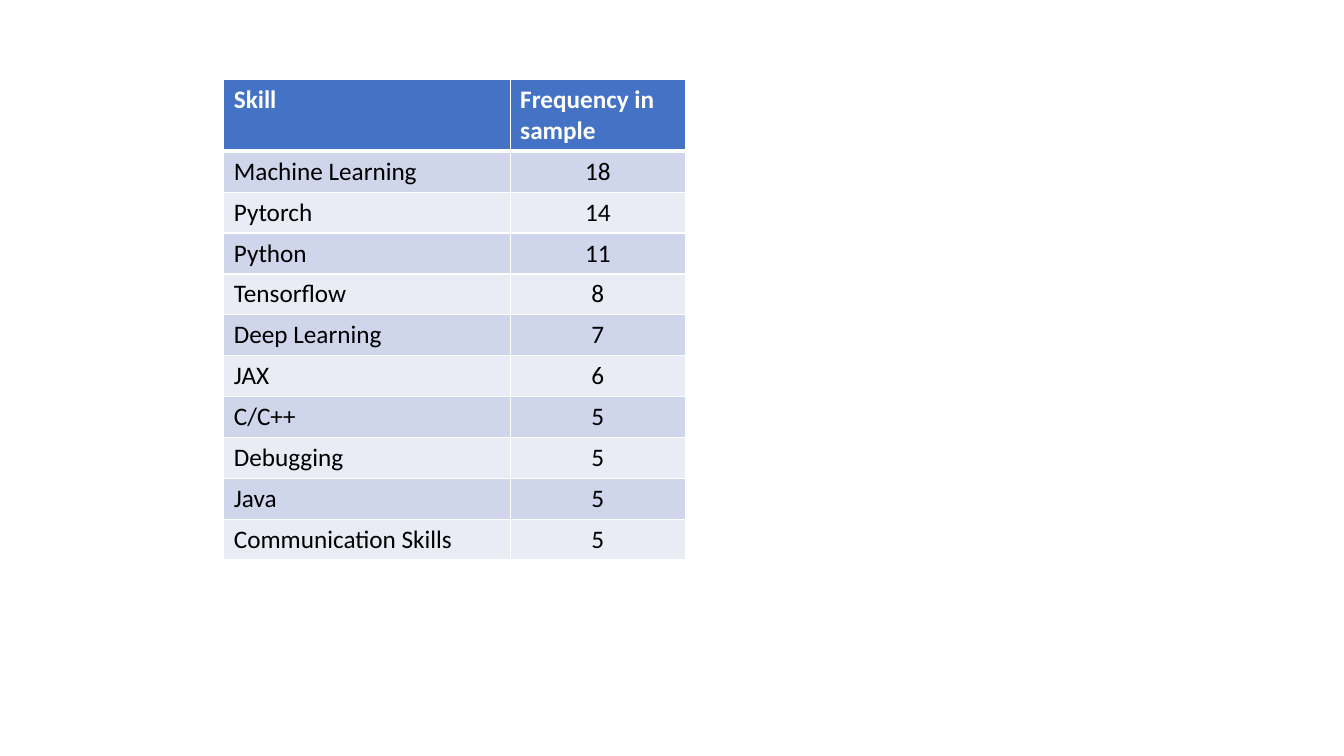
from lxml import etree
from pptx import Presentation
from pptx import util as u
from pptx.dml.color import RGBColor
from pptx.enum import text
from pptx.oxml import ns

# Content
HEAD = ("Skill", "Frequency in sample")
SKILLS = [
    ("Machine Learning", 18),
    ("Pytorch", 14),
    ("Python", 11),
    ("Tensorflow", 8),
    ("Deep Learning", 7),
    ("JAX", 6),
    ("C/C++", 5),
    ("Debugging", 5),
    ("Java", 5),
    ("Communication Skills", 5),
]

# Layout in px, 100 to the inch
PX = u.Inches(1) // 100
LEFT, TOP = 222, 79
COLS = (284, 174)
HEAD_H, ROW_H = 70, 40

# Format
WHITE = RGBColor(0xFF, 0xFF, 0xFF)
BLACK = RGBColor(0, 0, 0)
BLUE = RGBColor(0x44, 0x72, 0xC4)
BANDS = (RGBColor(0xCF, 0xD5, 0xEA), RGBColor(0xE9, 0xEB, 0xF5))
FONT = {"name": "Calibri", "size": u.Pt(18)}
THIN, THICK = u.Pt(1), u.Pt(3)


def border(cell, top, bottom):
    """Give the cell white lines on all four sides."""
    props = cell._tc.get_or_add_tcPr()
    sides = {"L": THIN, "R": THIN, "T": top, "B": bottom}
    for i, (side, width) in enumerate(sides.items()):
        line = etree.Element(ns.qn(f"a:ln{side}"), w=str(width))
        fill = etree.SubElement(line, ns.qn("a:solidFill"))
        etree.SubElement(fill, ns.qn("a:srgbClr"), val=str(WHITE))
        props.insert(i, line)


def main():
    prs = Presentation()
    prs.slide_width, prs.slide_height = 1333 * PX, 750 * PX
    slide = prs.slides.add_slide(prs.slide_layouts[6])

    # Table grid
    rows = [HEAD, *SKILLS]
    high = HEAD_H + ROW_H * len(SKILLS)
    table = slide.shapes.add_table(
        len(rows), len(COLS),
        LEFT * PX, TOP * PX, sum(COLS) * PX, high * PX).table
    for col, width in zip(table.columns, COLS):
        col.width = width * PX

    # Cells
    for r, row in enumerate(rows):
        head = r == 0
        table.rows[r].height = (HEAD_H if head else ROW_H) * PX
        for c, value in enumerate(row):
            cell = table.cell(r, c)
            cell.text = str(value)
            cell.fill.solid()
            cell.fill.fore_color.rgb = BLUE if head else BANDS[(r - 1) % 2]
            border(cell, THICK if r == 1 else THIN, THICK if head else THIN)
            para = cell.text_frame.paragraphs[0]
            if c and not head:
                para.alignment = text.PP_ALIGN.CENTER
            font = para.runs[0].font
            for key, val in {**FONT, "bold": head}.items():
                setattr(font, key, val)
            font.color.rgb = WHITE if head else BLACK

    prs.save("out.pptx")


if __name__ == "__main__":
    main()
